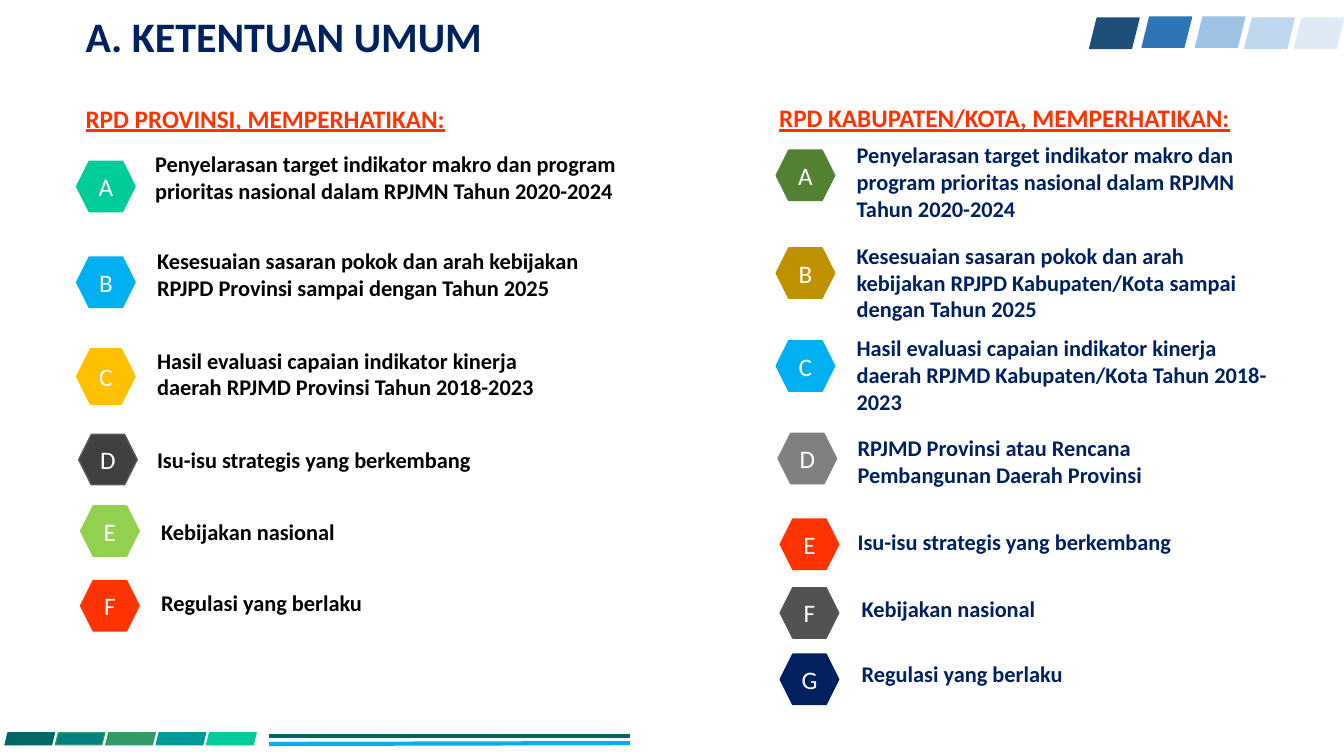
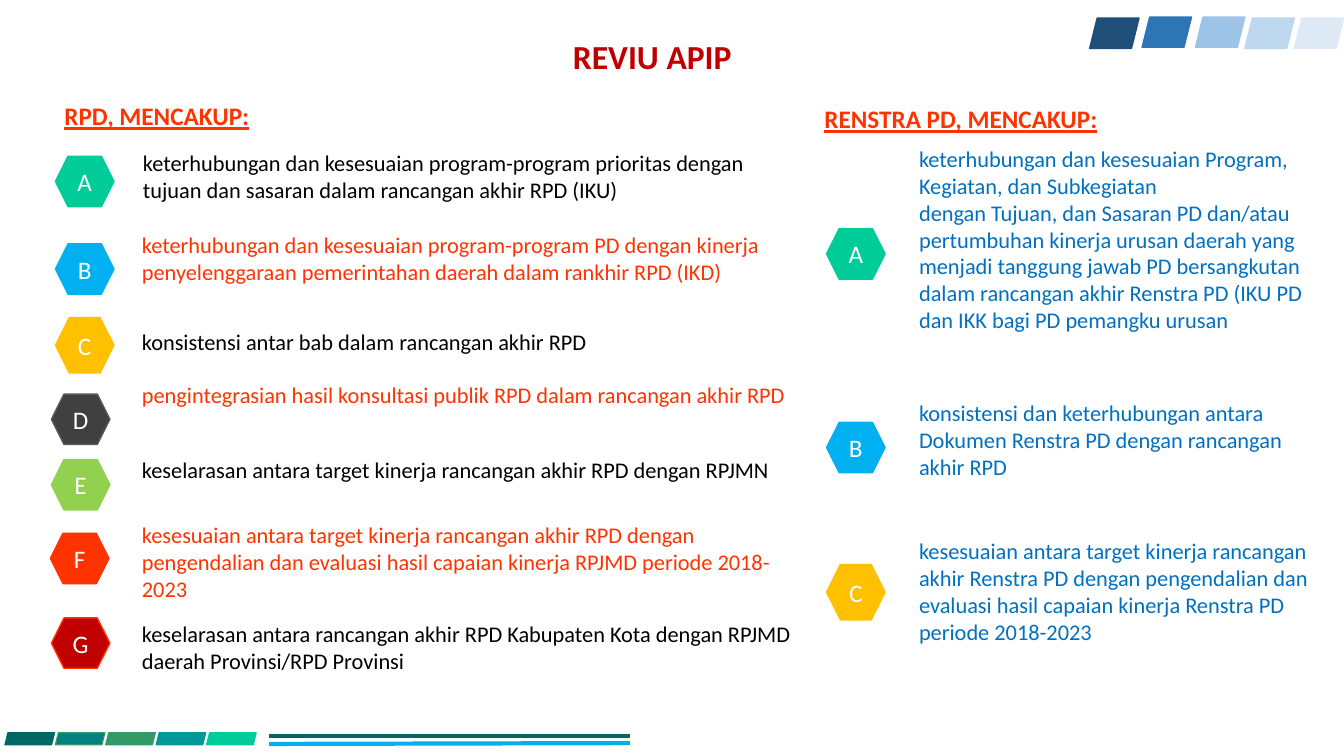
from dataclasses import dataclass
from itertools import chain

from lxml.etree import SubElement
from pptx import Presentation
from pptx.dml.color import RGBColor
from pptx.enum.shapes import MSO_CONNECTOR, MSO_SHAPE
from pptx.enum.text import MSO_ANCHOR, MSO_AUTO_SIZE, PP_ALIGN
from pptx.oxml.ns import qn
from pptx.shapes.autoshape import Shape
from pptx.slide import Slide
from pptx.text.text import TextFrame
from pptx.util import Pt


@dataclass(frozen=True)
class Theme:
    font: str = "Calibri"
    title_size: int = 30
    centred_title_size: int = 24
    heading_size: int = 18
    badge_size: int = 18
    body_size: int = 16
    black: str = "000000"
    white: str = "FFFFFF"
    navy: str = "002060"
    crimson: str = "C00000"
    red: str = "FF3300"
    blue: str = "0070C0"
    sky: str = "00B0F0"
    mint: str = "00CC99"
    amber: str = "FFC000"
    lime: str = "92D050"
    charcoal: str = "404040"
    slate: str = "595959"
    dark_grey: str = "525252"
    grey: str = "808080"
    olive: str = "548235"
    bronze: str = "BF9000"
    pine: str = "006666"
    teal: str = "008080"
    jade: str = "339966"
    lagoon: str = "009999"
    top_band: tuple[str, ...] = ("1F4E79", "2E75B6", "9DC3E6", "BDD7EE", "DEEBF7")


THEME = Theme()


@dataclass(frozen=True)
class Box:
    left: float
    top: float
    width: float
    height: float

    def lengths(self) -> tuple[Pt, Pt, Pt, Pt]:
        return Pt(self.left), Pt(self.top), Pt(self.width), Pt(self.height)


@dataclass(frozen=True)
class TextStyle:
    size: int
    color: str
    bold: bool = False
    underline: bool = False
    alignment: PP_ALIGN = PP_ALIGN.LEFT


@dataclass(frozen=True)
class Tile:
    box: Box
    fill: str
    outline: str


@dataclass(frozen=True)
class Item:
    """A lettered badge with its text; lines is the number of text lines."""
    fill: str
    badge: tuple[float, float]
    corner: tuple[float, float]
    width: float
    lines: int
    text: str
    outline: str = ""
    color: str = ""
    badge_height: float = 36


@dataclass(frozen=True)
class Section:
    heading: str
    corner: tuple[float, float]
    width: float
    color: str
    bold: bool
    items: tuple[Item, ...]


@dataclass(frozen=True)
class Page:
    title: str
    title_box: Box
    title_style: TextStyle
    sections: tuple[Section, ...]


TOP_CORNERS = ((778.3, 13), (815.8, 12.2), (853.9, 12.2), (889.2, 13), (924.5, 13))
TOP_TILES = [Tile(Box(left, top, 35.3, 21.6), color, color)
             for (left, top), color in zip(TOP_CORNERS, THEME.top_band)]
BOTTOM_COLORS = ((THEME.pine, THEME.pine), (THEME.teal, THEME.jade), (THEME.jade, THEME.jade),
                 (THEME.lagoon, THEME.lagoon), (THEME.mint, THEME.mint))
BOTTOM_TILES = [Tile(Box(3.6 + 36 * index, 523.4, 35.3, 8.6), fill, outline)
                for index, (fill, outline) in enumerate(BOTTOM_COLORS)]
RULES = ((525.6, 525.6, THEME.pine), (531.4, 530.8, THEME.sky))

PAGES = (
    Page("A. KETENTUAN UMUM", Box(54, 6.5, 718.6, 38.2),
         TextStyle(THEME.title_size, THEME.navy, bold=True), (
        Section("RPD PROVINSI, MEMPERHATIKAN:", (54, 70), 314, THEME.black, True, (
            Item(THEME.mint, (54.7, 115.2), (103.7, 103.7), 386, 2,
                 "Penyelarasan target indikator makro dan program prioritas nasional "
                 "dalam RPJMN Tahun 2020-2024"),
            Item(THEME.sky, (54.7, 183.6), (105.1, 172.8), 322.6, 2,
                 "Kesesuaian sasaran pokok dan arah kebijakan RPJPD Provinsi "
                 "sampai dengan Tahun 2025"),
            Item(THEME.amber, (54.7, 249.1), (105.1, 244.1), 304.6, 2,
                 "Hasil evaluasi capaian indikator kinerja daerah RPJMD Provinsi "
                 "Tahun 2018-2023", badge_height=39.6),
            Item(THEME.charcoal, (56.2, 310.3), (105.1, 315.4), 280, 1,
                 "Isu-isu strategis yang berkembang", outline=THEME.slate),
            Item(THEME.lime, (57.6, 361.4), (108, 366.5), 170, 1, "Kebijakan nasional"),
            Item(THEME.red, (57.6, 414.7), (108, 417.6), 190, 1, "Regulasi yang berlaku"),
        )),
        Section("RPD KABUPATEN/KOTA, MEMPERHATIKAN:", (549.4, 69.8), 394, THEME.navy, True, (
            Item(THEME.olive, (554.4, 107.3), (604.8, 97.2), 315.4, 3,
                 "Penyelarasan target indikator makro dan program prioritas nasional "
                 "dalam RPJMN Tahun 2020-2024"),
            Item(THEME.bronze, (554.4, 177.1), (604.8, 169.2), 306, 3,
                 "Kesesuaian sasaran pokok dan arah kebijakan RPJPD Kabupaten/Kota "
                 "sampai dengan Tahun 2025"),
            Item(THEME.sky, (554.4, 243.4), (604.8, 235.4), 314.6, 3,
                 "Hasil evaluasi capaian indikator kinerja daerah RPJMD Kabupaten/Kota "
                 "Tahun 2018-2023"),
            Item(THEME.grey, (555.8, 309.6), (605.5, 306.7), 304.6, 2,
                 "RPJMD Provinsi atau Rencana Pembangunan Daerah Provinsi"),
            Item(THEME.red, (557.3, 370.8), (605.5, 373.7), 280, 1,
                 "Isu-isu strategis yang berkembang"),
            Item(THEME.dark_grey, (557.3, 419.8), (608.4, 421.9), 170, 1, "Kebijakan nasional"),
            Item(THEME.navy, (557.3, 467.3), (608.4, 468), 190, 1, "Regulasi yang berlaku"),
        )),
    )),
    Page("REVIU APIP", Box(106.6, 20.9, 718.6, 38.2),
         TextStyle(THEME.centred_title_size, THEME.crimson, bold=True,
                   alignment=PP_ALIGN.CENTER), (
        Section("RPD, MENCAKUP:", (38.9, 68.4), 314, THEME.black, False, (
            Item(THEME.mint, (39.6, 111.6), (95, 103), 454.3, 2,
                 "keterhubungan dan kesesuaian program-program prioritas dengan "
                 "tujuan dan sasaran dalam rancangan akhir RPD (IKU)"),
            Item(THEME.sky, (39.6, 174.2), (94.3, 161.3), 480.2, 2,
                 "keterhubungan dan kesesuaian program-program PD dengan kinerja "
                 "penyelenggaraan pemerintahan daerah dalam rankhir RPD (IKD)", color=THEME.red),
            Item(THEME.amber, (39.6, 226.8), (94.3, 231.1), 480.2, 1,
                 "konsistensi antar bab dalam rancangan akhir RPD", badge_height=39.6),
            Item(THEME.charcoal, (36.7, 281.5), (94.3, 268.6), 480.2, 1,
                 "pengintegrasian hasil konsultasi publik RPD dalam rancangan akhir RPD",
                 outline=THEME.slate, color=THEME.red),
            Item(THEME.lime, (36.7, 328.3), (94.3, 322.6), 480.2, 1,
                 "keselarasan antara target kinerja rancangan akhir RPD dengan RPJMN"),
            Item(THEME.red, (36, 380.9), (94.3, 368.6), 480.2, 3,
                 "kesesuaian antara target kinerja rancangan akhir RPD dengan pengendalian "
                 "dan evaluasi hasil capaian kinerja RPJMD periode 2018-2023", color=THEME.red),
            Item(THEME.crimson, (36.7, 441.4), (94.3, 439.2), 480.2, 2,
                 "keselarasan antara rancangan akhir RPD Kabupaten Kota dengan RPJMD "
                 "daerah Provinsi/RPD Provinsi", outline=THEME.red),
        )),
        Section("RENSTRA PD, MENCAKUP:", (581.8, 70.6), 314, THEME.blue, False, (
            Item(THEME.mint, (590.4, 163.4), (649.4, 100.1), 293.8, 7,
                 "keterhubungan dan kesesuaian Program, Kegiatan, dan Subkegiatan\n"
                 "dengan Tujuan, dan Sasaran PD dan/atau pertumbuhan kinerja urusan daerah "
                 "yang menjadi tanggung jawab PD bersangkutan dalam rancangan akhir "
                 "Renstra PD (IKU PD dan IKK bagi PD pemangku urusan"),
            Item(THEME.sky, (590.4, 301.7), (649.4, 281.5), 309.6, 3,
                 "konsistensi dan keterhubungan antara Dokumen Renstra PD dengan "
                 "rancangan akhir RPD"),
            Item(THEME.amber, (590.4, 403.2), (649.4, 380.2), 310, 4,
                 "kesesuaian antara target kinerja rancangan akhir Renstra PD dengan "
                 "pengendalian dan evaluasi hasil capaian kinerja Renstra PD "
                 "periode 2018-2023", badge_height=39.6),
        )),
    )),
)


def write_text(frame: TextFrame, text: str, style: TextStyle) -> None:
    for index, line in enumerate(text.split("\n")):
        paragraph = frame.add_paragraph() if index else frame.paragraphs[0]
        paragraph.alignment = style.alignment
        run = paragraph.add_run()
        run.text = line
        run.font.name = THEME.font
        run.font.size = Pt(style.size)
        run.font.bold = style.bold
        run.font.underline = style.underline
        run.font.color.rgb = RGBColor.from_string(style.color)


def add_text(slide: Slide, box: Box, text: str, style: TextStyle) -> TextFrame:
    frame = slide.shapes.add_textbox(*box.lengths()).text_frame
    frame.word_wrap = True
    write_text(frame, text, style)
    return frame


def add_tile(slide: Slide, kind: MSO_SHAPE, tile: Tile) -> Shape:
    shape = slide.shapes.add_shape(kind, *tile.box.lengths())
    shape.shadow.inherit = False
    shape.fill.solid()
    shape.fill.fore_color.rgb = RGBColor.from_string(tile.fill)
    shape.line.color.rgb = RGBColor.from_string(tile.outline)
    shape.line.width = Pt(1)
    return shape


def add_bands(slide: Slide) -> None:
    """Draw the slanted tiles and the footer rules that every slide carries."""
    for tile in chain(TOP_TILES, BOTTOM_TILES):
        add_tile(slide, MSO_SHAPE.PARALLELOGRAM, tile)
    for start, end, color in RULES:
        rule = slide.shapes.add_connector(MSO_CONNECTOR.STRAIGHT,
                                          Pt(192.2), Pt(start), Pt(450), Pt(end))
        rule.line.color.rgb = RGBColor.from_string(color)
        rule.line.width = Pt(3)
        SubElement(rule._element.spPr, qn("a:effectLst"))


def add_badge(slide: Slide, letter: str, item: Item) -> None:
    box = Box(*item.badge, 41.8, item.badge_height)
    badge = add_tile(slide, MSO_SHAPE.HEXAGON, Tile(box, item.fill, item.outline or item.fill))
    frame = badge.text_frame
    frame.margin_left = frame.margin_right = 0
    frame.vertical_anchor = MSO_ANCHOR.MIDDLE
    write_text(frame, letter,
               TextStyle(THEME.badge_size, THEME.white, alignment=PP_ALIGN.CENTER))


def add_section(slide: Slide, section: Section) -> None:
    add_text(slide, Box(*section.corner, section.width, 28.8), section.heading,
             TextStyle(THEME.heading_size, THEME.red, bold=True, underline=True))
    for letter, item in zip("ABCDEFG", section.items):
        add_badge(slide, letter, item)
        height = 7.2 + 19.4 * item.lines
        frame = add_text(slide, Box(*item.corner, item.width, height), item.text,
                         TextStyle(THEME.body_size, item.color or section.color, section.bold))
        frame.auto_size = MSO_AUTO_SIZE.SHAPE_TO_FIT_TEXT


def main() -> None:
    presentation = Presentation()
    presentation.slide_width, presentation.slide_height = Pt(960), Pt(540)
    for page in PAGES:
        slide = presentation.slides.add_slide(presentation.slide_layouts[6])
        title = add_text(slide, page.title_box, page.title, page.title_style)
        title.vertical_anchor = MSO_ANCHOR.MIDDLE
        add_bands(slide)
        for section in page.sections:
            add_section(slide, section)
    presentation.save("out.pptx")


if __name__ == "__main__":
    main()
